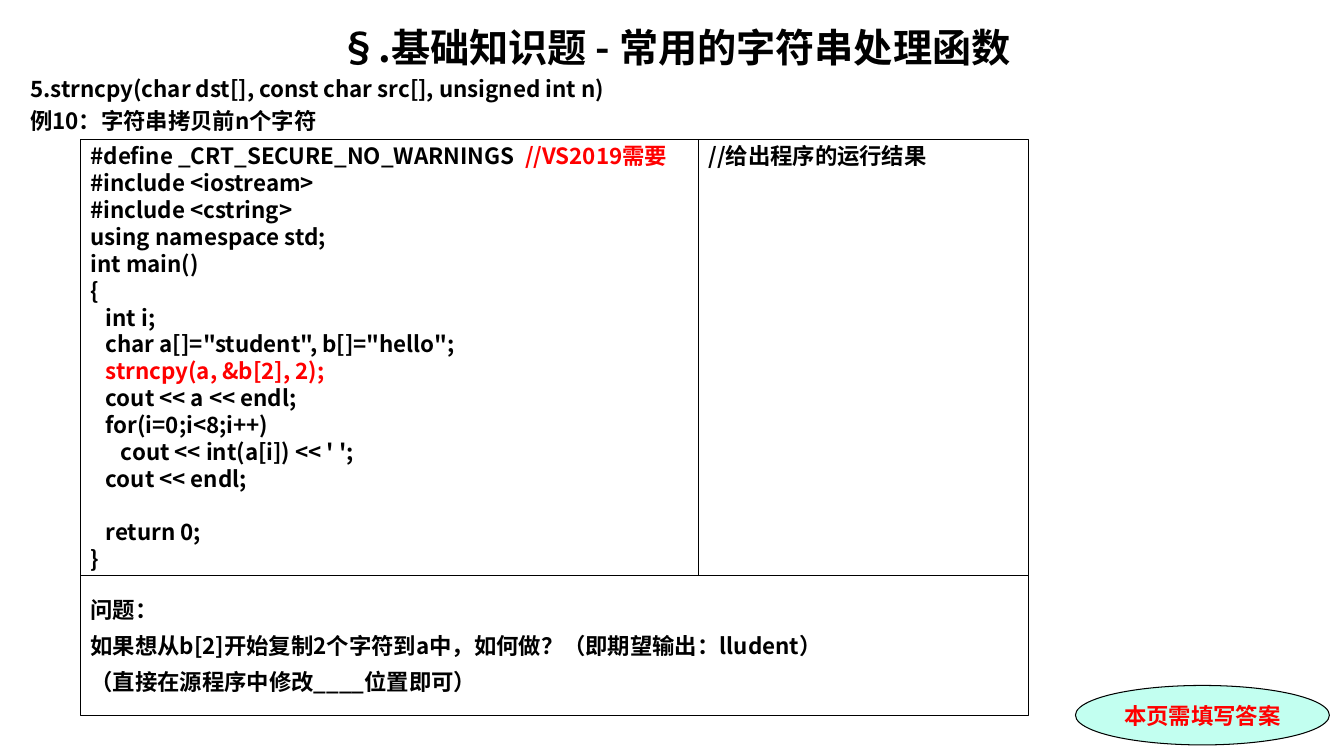
from lxml import etree
from pptx import Presentation
from pptx.dml.color import RGBColor
from pptx.enum.shapes import MSO_SHAPE
from pptx.enum.text import MSO_ANCHOR, MSO_AUTO_SIZE, PP_ALIGN
from pptx.oxml.ns import qn
from pptx.util import Pt

RECTANGLE, OVAL = MSO_SHAPE.RECTANGLE, MSO_SHAPE.OVAL
TOP, MIDDLE = MSO_ANCHOR.TOP, MSO_ANCHOR.MIDDLE
LEFT, CENTER, JUSTIFY = PP_ALIGN.LEFT, PP_ALIGN.CENTER, PP_ALIGN.JUSTIFY
NO_AUTOFIT = MSO_AUTO_SIZE.NONE

BLACK = RGBColor(0x00, 0x00, 0x00)
RED = RGBColor(0xFF, 0x00, 0x00)
MINT = RGBColor(0xC2, 0xFF, 0xF0)
SANS, SERIF = "Noto Sans CJK SC", "Times New Roman"

# A line is a list of (text, colour) runs.
TITLE = [[("§.基础知识题 - 常用的字符串处理函数", BLACK)]]
HEADINGS = [
    [("5.strncpy(char dst[], const char src[], unsigned int n)", BLACK)],
    [("例10：字符串拷贝前n个字符", BLACK)],
]
CODE = [
    [("#define _CRT_SECURE_NO_WARNINGS", BLACK), ("  //VS2019需要", RED)],
    [("#include <iostream>", BLACK)],
    [("#include <cstring>", BLACK)],
    [("using namespace std;", BLACK)],
    [("int main()", BLACK)],
    [("{", BLACK)],
    [("   int i;", BLACK)],
    [('   char a[]="student", b[]="hello";', BLACK)],
    [("   strncpy(a, &b[2], 2);", RED)],
    [("   cout << a << endl;", BLACK)],
    [("   for(i=0;i<8;i++)", BLACK)],
    [("      cout << int(a[i]) << ' ';", BLACK)],
    [("   cout << endl;", BLACK)],
    [],
    [("   return 0;", BLACK)],
    [("}", BLACK)],
]
RESULT = [[("//给出程序的运行结果", BLACK)]]
QUESTION = [
    [("问题：", BLACK)],
    [("如果想从b[2]开始复制2个字符到a中，如何做？（即期望输出：lludent）", BLACK)],
    [("（直接在源程序中修改____位置即可）", BLACK)],
]
REMINDER = [[("本页需填写答案", RED)]]

SLIDE_W, SLIDE_H = 960, 540
TEXT_SIZE, TITLE_SIZE, LINE_PITCH = 16, 28, 1.2
HEAD_X, HEAD_Y, HEAD_W = 14.4, 13, 935.3
TITLE_H, HEADINGS_H = 40.8, 46
GRID_X, GRID_Y = 57.6, 99.4
CODE_W, RESULT_W = 441.4, 235.4
CODE_H, QUESTION_H = 311.8, 100


def write(shape, lines, size=TEXT_SIZE, latin=SANS, align=LEFT, anchor=MIDDLE,
          gap=0, inset=3.6):
    frame = shape.text_frame
    frame.word_wrap = True
    frame.auto_size = NO_AUTOFIT
    frame.vertical_anchor = anchor
    frame.margin_left = frame.margin_right = Pt(7.2)
    frame.margin_top = frame.margin_bottom = Pt(inset)
    for index, line in enumerate(lines):
        paragraph = frame.add_paragraph() if index else frame.paragraphs[0]
        paragraph.alignment = align
        paragraph.line_spacing = Pt(size * LINE_PITCH)
        paragraph.space_before = Pt(gap if index else 0)
        font = paragraph.font
        font.size, font.bold, font.name = Pt(size), True, latin
        font.color.rgb = line[0][1] if line else BLACK
        defaults = paragraph._p.pPr.find(qn("a:defRPr"))
        etree.SubElement(defaults, qn("a:ea")).set("typeface", SANS)
        for text, colour in line:
            run = paragraph.add_run()
            run.text = text
            if colour != line[0][1]:
                run.font.color.rgb = colour


def place(shape, x, y, w, h):
    shape.left, shape.top, shape.width, shape.height = Pt(x), Pt(y), Pt(w), Pt(h)


def add_panel(slide, kind, x, y, w, h, fill=None):
    panel = slide.shapes.add_shape(kind, Pt(x), Pt(y), Pt(w), Pt(h))
    panel.shadow.inherit = False
    if fill is None:
        panel.fill.background()
    else:
        panel.fill.solid()
        panel.fill.fore_color.rgb = fill
    panel.line.color.rgb = BLACK
    panel.line.width = Pt(0.75)
    return panel


def main():
    deck = Presentation()
    deck.slide_width, deck.slide_height = Pt(SLIDE_W), Pt(SLIDE_H)
    slide = deck.slides.add_slide(deck.slide_layouts[0])

    title, headings = slide.shapes.title, slide.placeholders[1]
    place(title, HEAD_X, HEAD_Y, HEAD_W, TITLE_H)
    write(title, TITLE, TITLE_SIZE, align=CENTER, anchor=TOP)
    place(headings, HEAD_X, HEAD_Y + TITLE_H, HEAD_W, HEADINGS_H)
    write(headings, HEADINGS, align=JUSTIFY, anchor=TOP, gap=3.6, inset=0)

    code = add_panel(slide, RECTANGLE, GRID_X, GRID_Y, CODE_W, CODE_H)
    write(code, CODE, inset=2.4)
    result = add_panel(slide, RECTANGLE, GRID_X + CODE_W, GRID_Y, RESULT_W, CODE_H)
    write(result, RESULT, anchor=TOP, inset=2.4)
    question = add_panel(slide, RECTANGLE, GRID_X, GRID_Y + CODE_H,
                         CODE_W + RESULT_W, QUESTION_H)
    write(question, QUESTION, gap=6.7)
    reminder = add_panel(slide, OVAL, 768.2, 489.6, 181.4, 42.5, MINT)
    write(reminder, REMINDER, latin=SERIF, align=CENTER)

    deck.save("out.pptx")


if __name__ == "__main__":
    main()
